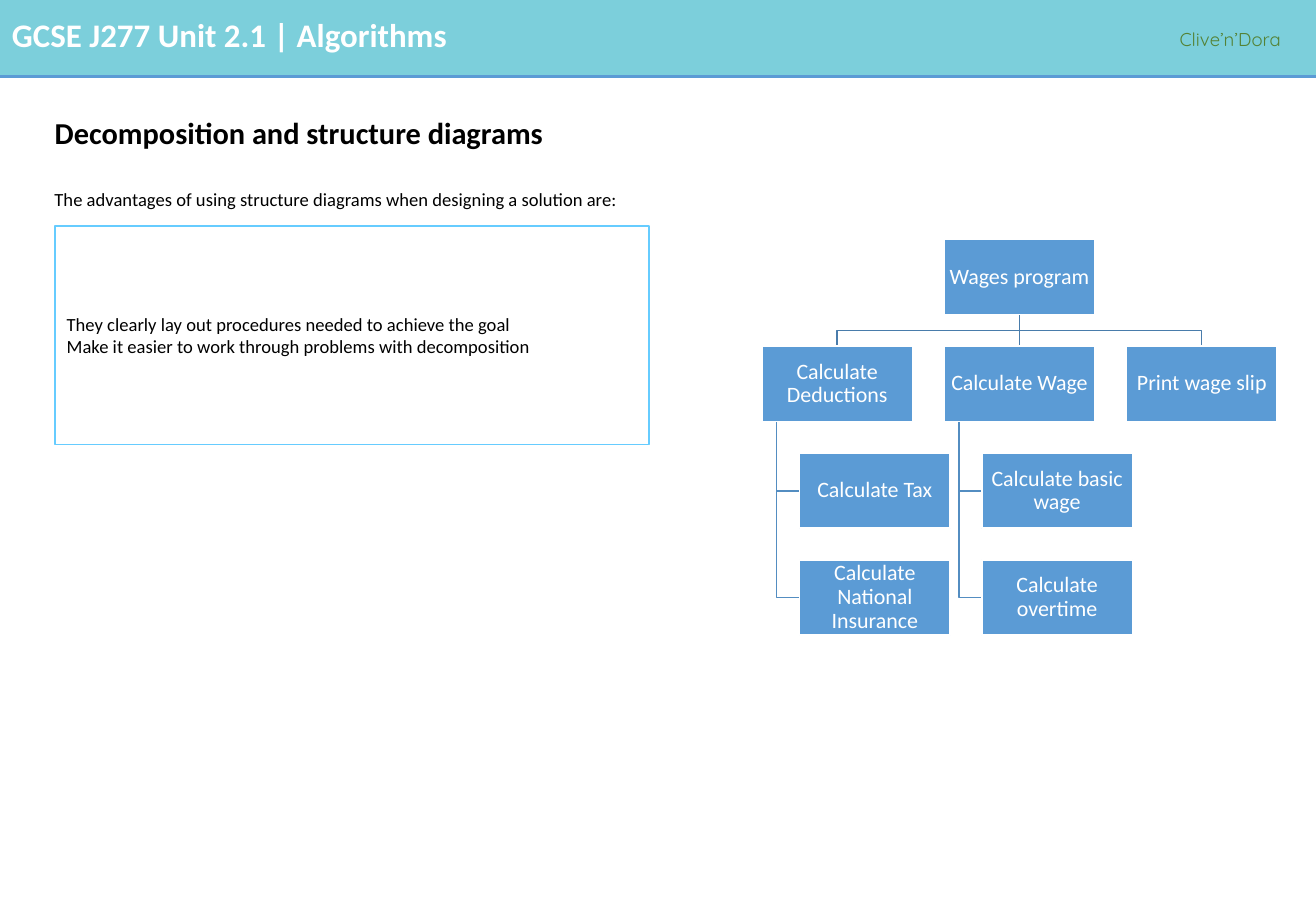
from dataclasses import dataclass

from lxml.etree import SubElement
from pptx import Presentation
from pptx.dml.color import RGBColor as Rgb
from pptx.enum.shapes import MSO_CONNECTOR as Wire, MSO_SHAPE as Form
from pptx.enum.text import MSO_ANCHOR as Anchor, MSO_AUTO_SIZE as Fit, PP_ALIGN as Align
from pptx.oxml.ns import qn
from pptx.util import Inches, Pt

HUES = {
    "band": "7CCFDB",
    "box": "5B9BD5",
    "top": "497CAB",
    "side": "538DC1",
    "frame": "66CCFF",
    "credit": "548235",
    "white": "FFFFFF",
    "black": "000000",
}
LEFT, TOP = 57.89, 26.27
COL, ROW = 13.85, 11.73
WIDE, HIGH = 11.45, 8.27
INDENT, SPINE = 2.86, 1.11

deck = Presentation()
deck.slide_width, deck.slide_height = Inches(10.83), Inches(7.5)
slide = deck.slides.add_slide(deck.slide_layouts[5])
shapes = slide.shapes


@dataclass(frozen=True)
class Area:
    left: float
    top: float
    wide: float
    high: float

    @property
    def mid(self) -> float:
        return self.left + self.wide / 2

    @property
    def base(self) -> float:
        return self.top + self.high


@dataclass(frozen=True)
class Task:
    name: str
    col: int
    row: int
    boss: str = ""

    @property
    def deep(self) -> bool:
        return self.row > 1

    @property
    def area(self) -> Area:
        left = LEFT + self.col * COL + INDENT * self.deep
        return Area(left, TOP + self.row * ROW, WIDE, HIGH)


TASKS = [
    Task("Wages program", 1, 0),
    Task("Calculate Deductions", 0, 1, "Wages program"),
    Task("Calculate Wage", 1, 1, "Wages program"),
    Task("Print wage slip", 2, 1, "Wages program"),
    Task("Calculate Tax", 0, 2, "Calculate Deductions"),
    Task("Calculate National Insurance", 0, 3, "Calculate Deductions"),
    Task("Calculate basic wage", 1, 2, "Calculate Wage"),
    Task("Calculate overtime", 1, 3, "Calculate Wage"),
]


def tint(hue: str) -> Rgb:
    return Rgb.from_string(HUES[hue])


def across(share: float) -> int:
    return round(deck.slide_width * share / 100)


def down(share: float) -> int:
    return round(deck.slide_height * share / 100)


def place(area: Area) -> tuple[int, int, int, int]:
    return across(area.left), down(area.top), across(area.wide), down(area.high)


def write(shape, text: str, *, size: float = 11, hue: str = "black",
          face: str = "Calibri", bold: bool = False, align=Align.LEFT,
          anchor=Anchor.TOP, gap: float = 1, inset=None, wrap: bool = True) -> None:
    frame = shape.text_frame
    frame.text = text
    frame.auto_size = Fit.NONE
    frame.word_wrap = wrap
    frame.vertical_anchor = anchor
    pads = (0.1, 0.05, 0.1, 0.05) if inset is None else (inset,) * 4
    (frame.margin_left, frame.margin_top,
     frame.margin_right, frame.margin_bottom) = map(Inches, pads)
    for para in frame.paragraphs:
        para.alignment = align
        para.line_spacing = gap
        font = para.font
        font.size, font.name, font.bold = Pt(size), face, bold
        font.color.rgb = tint(hue)


def panel(area: Area, fill: str = "", edge: str = ""):
    shape = shapes.add_shape(Form.RECTANGLE, *place(area))
    shape.shadow.inherit = False
    if fill:
        shape.fill.solid()
        shape.fill.fore_color.rgb = tint(fill)
    else:
        shape.fill.background()
    if edge:
        shape.line.color.rgb = tint(edge)
        shape.line.width = Pt(1)
    else:
        shape.line.fill.background()
    return shape


def label(area: Area, text: str, **style) -> None:
    write(shapes.add_textbox(*place(area)), text, **style)


def wire(hue: str, width: float, left: float = 0, right: float = 0, top: float = 0):
    line = shapes.add_connector(
        Wire.STRAIGHT, across(left), down(top), across(right), down(top))
    line.line.color.rgb = tint(hue)
    line.line.width = Pt(width)
    SubElement(line._element.spPr, qn("a:effectLst"))
    return line


def bend(points: list[tuple[float, float]], hue: str):
    start, *rest = [(across(x), down(y)) for x, y in points]
    pen = shapes.build_freeform(*start)
    pen.add_line_segments(rest, close=False)
    line = pen.convert_to_shape()
    line.shadow.inherit = False
    line.fill.background()
    line.line.color.rgb = tint(hue)
    line.line.width = Pt(1)
    return line


def link(boss: Task, task: Task, boxes: dict):
    head, foot = boss.area, task.area
    if task.deep:
        spine, mid = head.left + SPINE, foot.top + HIGH / 2
        return bend([(spine, head.base), (spine, mid), (foot.left, mid)], "side")
    if boss.col == task.col:
        line = wire("top", 1)
        line.begin_connect(boxes[boss.name], 2)
        line.end_connect(boxes[task.name], 0)
        return line
    mid = (head.base + foot.top) / 2
    return bend([(head.mid, head.base), (head.mid, mid),
                 (foot.mid, mid), (foot.mid, foot.top)], "top")


def chart() -> None:
    names = {task.name: task for task in TASKS}
    boxes = {task.name: panel(task.area, "box", "white") for task in TASKS}
    for name, box in boxes.items():
        write(box, name, size=13, hue="white", align=Align.CENTER,
              anchor=Anchor.MIDDLE, gap=0.9, inset=0.01)
    for task in TASKS:
        if task.boss:
            line = link(names[task.boss], task, boxes)
            shapes._spTree.insert(2, line._element)


def main() -> None:
    panel(Area(0, 0, 100, 8.4), "band")
    wire("box", 2.25, right=100, top=8.4)
    label(Area(0, 0.93, 87.53, 5.73), "GCSE J277 Unit 2.1 | Algorithms",
          size=19.5, hue="white", bold=True)
    label(Area(88.73, 2.27, 11.27, 3.87), "Clive’n’Dora",
          hue="credit", face="Quicksand", gap=1.07, wrap=False)
    title = shapes.title
    title.left, title.top, title.width, title.height = place(
        Area(3.23, 11.07, 93.26, 7.47))
    write(title, "Decomposition and structure diagrams", size=18, bold=True,
          anchor=Anchor.MIDDLE, gap=0.9)
    chart()
    label(Area(3.23, 20, 46.08, 3.87),
          "The advantages of using structure diagrams when designing a solution are:")
    write(panel(Area(4.16, 24.8, 45.15, 24), edge="frame"),
          "They clearly lay out procedures needed to achieve the goal\n"
          "Make it easier to work through problems with decomposition",
          anchor=Anchor.MIDDLE)
    deck.save("out.pptx")


if __name__ == "__main__":
    main()
